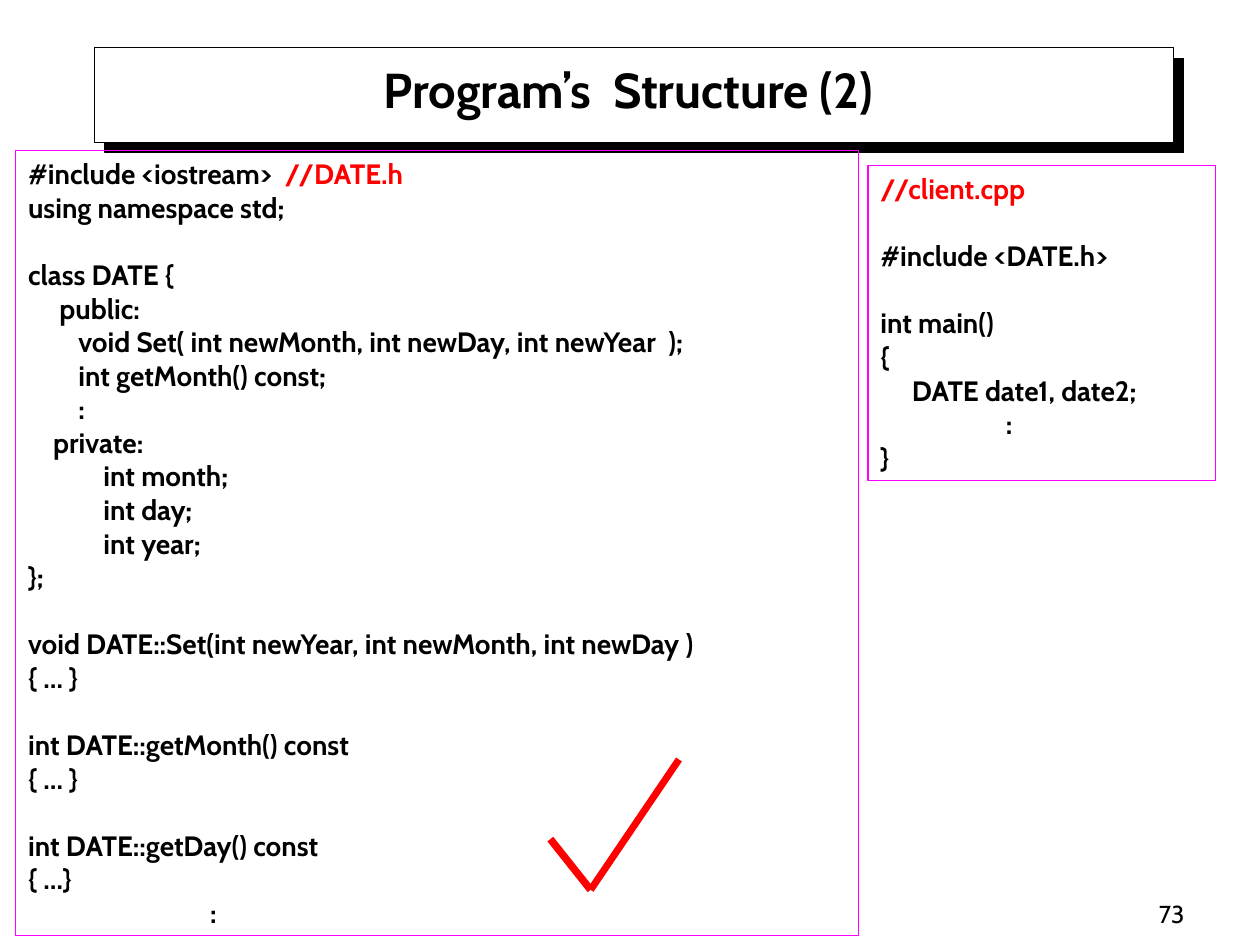
from lxml import etree
from pptx import Presentation
from pptx.dml.color import RGBColor
from pptx.enum.shapes import MSO_CONNECTOR, MSO_SHAPE
from pptx.enum.text import MSO_ANCHOR, MSO_AUTO_SIZE, PP_ALIGN
from pptx.oxml.ns import qn
from pptx.util import Pt

RECT = MSO_SHAPE.RECTANGLE
LINE = MSO_CONNECTOR.STRAIGHT
TOP, BOTTOM = MSO_ANCHOR.TOP, MSO_ANCHOR.BOTTOM
LEFT, MID, RIGHT = PP_ALIGN.LEFT, PP_ALIGN.CENTER, PP_ALIGN.RIGHT
FIXED, GROW = MSO_AUTO_SIZE.NONE, MSO_AUTO_SIZE.SHAPE_TO_FIT_TEXT

DATE = """#include <iostream>  //DATE.h
using namespace std;

class DATE {
     public:
        void Set( int newMonth, int newDay, int newYear  );
        int getMonth() const;
        :
    private:
            int month;
            int day;
            int year;
};

void DATE::Set(int newYear, int newMonth, int newDay )
{ … }

int DATE::getMonth() const
{ … }

int DATE::getDay() const
{ …}
                             :"""

CLIENT = """//client.cpp

#include <DATE.h>

int main()
{
     DATE date1, date2;
                    :
}"""


def color(code):
    return RGBColor.from_string(code)


def write(frame, text, size=16, bold=True, align=LEFT, anchor=TOP, fit=FIXED):
    """Fill a frame; comments turn red and an empty line becomes space before."""
    frame.word_wrap = True
    frame.auto_size = fit
    frame.vertical_anchor = anchor
    frame.margin_left = frame.margin_right = Pt(7.2)
    frame.margin_top = frame.margin_bottom = Pt(3.6)
    para, gap = frame.paragraphs[0], 0
    for line in text.split("\n"):
        if not line:
            gap = size * 1.2
            continue
        if para.runs:
            para = frame.add_paragraph()
        para.alignment = align
        para.space_before = Pt(gap)
        gap = 0
        code, mark, note = line.partition("//")
        for part, tint in ((code, "000000"), (mark + note, "FF0000")):
            if part:
                run = para.add_run()
                run.text = part
                font = run.font
                font.name, font.size, font.bold = "Cabin", Pt(size), bold
                font.color.rgb = color(tint)


class Deck:
    def __init__(self):
        self.file = Presentation()
        self.file.slide_width, self.file.slide_height = Pt(720), Pt(540)
        self.slide = self.file.slides.add_slide(self.file.slide_layouts[5])
        self.shapes = self.slide.shapes

    def rect(self, *box, fill=None, line="000000"):
        shape = self.shapes.add_shape(RECT, *map(Pt, box))
        shape.shadow.inherit = False
        if fill:
            shape.fill.solid()
            shape.fill.fore_color.rgb = color(fill)
        else:
            shape.fill.background()
        shape.line.color.rgb = color(line)
        shape.line.width = Pt(0.75)
        return shape

    def card(self, *box):
        """Draw the white plate with a hard shadow, behind the title."""
        shape = self.rect(*box, fill="FFFFFF")
        effects = shape._element.spPr.find(qn("a:effectLst"))
        shadow = etree.SubElement(effects, qn("a:outerShdw"), dist=str(Pt(8.5)),
                                  dir=str(45 * 60000), algn="ctr", rotWithShape="0")
        etree.SubElement(shadow, qn("a:srgbClr"), val="000000")
        self.shapes.title._element.addprevious(shape._element)

    def title(self, text, *box):
        shape = self.shapes.title
        shape.left, shape.top, shape.width, shape.height = map(Pt, box)
        write(shape.text_frame, text, size=28, align=MID, anchor=BOTTOM)

    def code(self, text, *box):
        write(self.rect(*box, line="FF00FF").text_frame, text, fit=GROW)

    def label(self, text, *box, **style):
        write(self.shapes.add_textbox(*map(Pt, box)).text_frame, text, **style)

    def tick(self, *points, widths):
        group = self.shapes.add_group_shape()
        for start, end, width in zip(points, points[1:], widths):
            line = group.shapes.add_connector(LINE, *map(Pt, start + end))
            line.line.color.rgb = color("FF0000")
            line.line.width = Pt(width)
            etree.SubElement(line._element.spPr, qn("a:effectLst"))


def main():
    deck = Deck()
    deck.card(54, 27.3, 616.5, 54)
    deck.title("Program’s  Structure (2)", 59.5, 31.5, 599, 39.5)
    deck.code(DATE, 9, 86, 481.5, 448.5)
    deck.code(CLIENT, 496, 94.5, 198.5, 180)
    deck.tick((314.5, 479.5), (337.5, 508.5), (388, 434), widths=(4.25, 4))
    deck.label("73", 534, 498, 150, 36, size=14, bold=False, align=RIGHT, anchor=BOTTOM)
    deck.file.save("out.pptx")


if __name__ == "__main__":
    main()
